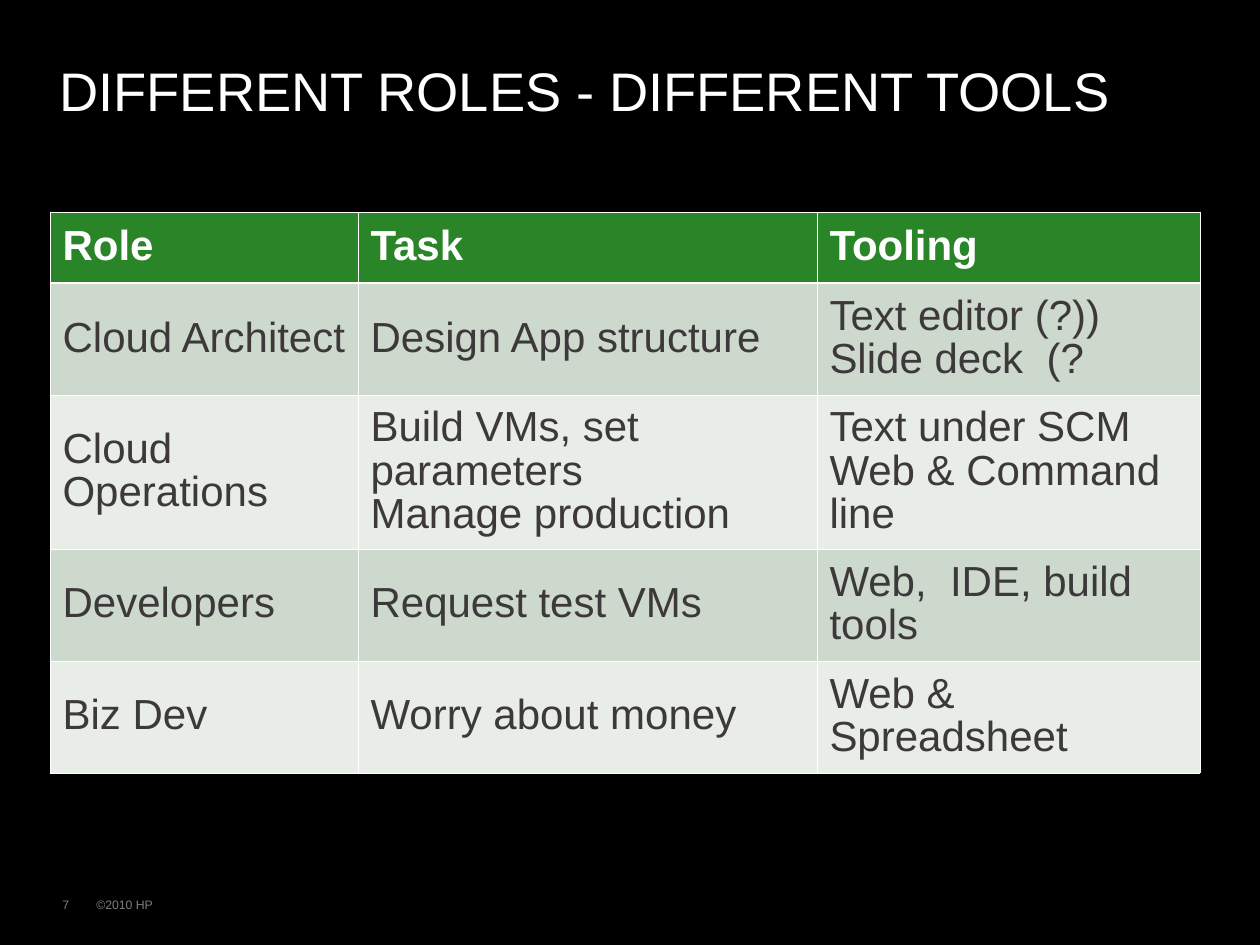
from dataclasses import dataclass

from lxml import etree
from pptx import Presentation
from pptx import util as u
from pptx.dml.color import RGBColor
from pptx.enum import text
from pptx.oxml import ns

PX_PER_INCH = 126
FONT = "Arial"
COLOURS = {
    "background": "000000",
    "title": "FFFFFF",
    "footer": "7F7F7F",
    "header": "298527",
    "header_text": "FFFFFF",
    "band_dark": "CDD9CD",
    "band_light": "E8EDE8",
    "body_text": "3D393B",
    "border": "FFFFFF",
}
THIN, THICK = 0.45, 1.47  # border widths in points


@dataclass
class Row:
    height: int
    cells: tuple[str, str, str]


@dataclass
class Footer:
    left: int
    width: int
    words: str


COLUMN_WIDTHS = (308, 459, 383)
ROWS = (
    Row(71, ("Role", "Task", "Tooling")),
    Row(112, ("Cloud Architect", "Design App structure",
              "Text editor (?))\nSlide deck  (?")),
    Row(154, ("Cloud Operations", "Build VMs, set parameters\nManage production",
              "Text under SCM\nWeb & Command line")),
    Row(112, ("Developers", "Request test VMs", "Web,  IDE, build tools")),
    Row(112, ("Biz Dev", "Worry about money", "Web & Spreadsheet")),
)
FOOTERS = (Footer(84, 543, "©2010 HP"), Footer(50, 53, "7"))


def px(length: int) -> int:
    return u.Inches(length / PX_PER_INCH)


def colour(name: str) -> RGBColor:
    return RGBColor.from_string(COLOURS[name])


def write(paragraph, words: str, size: int, colour_name: str, bold: bool = False) -> None:
    paragraph.alignment = text.PP_ALIGN.LEFT
    for index, line in enumerate(words.split("\n")):
        if index:
            paragraph.add_line_break()
        run = paragraph.add_run()
        run.text = line
        run.font.name = FONT
        run.font.size = u.Pt(size)
        run.font.bold = bold
        run.font.color.rgb = colour(colour_name)


def add_border(cell, side: str, width: float) -> None:
    properties = cell._tc.get_or_add_tcPr()
    line = etree.SubElement(properties, ns.qn(f"a:ln{side}"), w=str(int(u.Pt(width))))
    fill = etree.SubElement(line, ns.qn("a:solidFill"))
    etree.SubElement(fill, ns.qn("a:srgbClr"), val=COLOURS["border"])


def add_title(slide, words: str) -> None:
    title = slide.shapes.title
    title.left, title.top, title.width, title.height = map(px, (47, 58, 1154, 121))
    frame = title.text_frame
    frame.word_wrap = True
    frame.auto_size = text.MSO_AUTO_SIZE.NONE
    frame.vertical_anchor = text.MSO_ANCHOR.TOP
    paragraph = frame.paragraphs[0]
    paragraph.line_spacing = u.Pt(32.9)
    write(paragraph, words, 31, "title")


def add_roles_table(slide) -> None:
    table = slide.shapes.add_table(
        len(ROWS), len(COLUMN_WIDTHS), px(50), px(212),
        px(sum(COLUMN_WIDTHS)), px(sum(row.height for row in ROWS))).table
    for column, width in zip(table.columns, COLUMN_WIDTHS):
        column.width = px(width)
    for r, row in enumerate(ROWS):
        table.rows[r].height = px(row.height)
        is_header = r == 0
        band = "header" if is_header else "band_dark" if r % 2 else "band_light"
        ink = "header_text" if is_header else "body_text"
        borders = {"L": THIN, "R": THIN,
                   "T": THICK if r == 1 else THIN,
                   "B": THICK if is_header else THIN}
        for c, words in enumerate(row.cells):
            cell = table.cell(r, c)
            for side, width in borders.items():
                add_border(cell, side, width)
            cell.fill.solid()
            cell.fill.fore_color.rgb = colour(band)
            cell.vertical_anchor = text.MSO_ANCHOR.MIDDLE
            paragraph = cell.text_frame.paragraphs[0]
            paragraph.line_spacing = 0.93
            write(paragraph, words, 24, ink, is_header)


def add_footer(slide, footer: Footer) -> None:
    box = slide.shapes.add_textbox(px(footer.left), px(891), px(footer.width), px(30))
    frame = box.text_frame
    frame.word_wrap = True
    frame.margin_top = px(8)
    frame.margin_bottom = px(6)
    paragraph = frame.paragraphs[0]
    paragraph.line_spacing = 0.93
    write(paragraph, footer.words, 7, "footer")


def main() -> None:
    deck = Presentation()
    deck.slide_width, deck.slide_height = px(1260), px(945)
    slide = deck.slides.add_slide(deck.slide_layouts[5])
    slide.background.fill.solid()
    slide.background.fill.fore_color.rgb = colour("background")

    # Footer line
    for footer in FOOTERS:
        add_footer(slide, footer)

    # Heading and table of roles
    add_title(slide, "DIFFERENT ROLES - DIFFERENT TOOLS")
    add_roles_table(slide)

    deck.save("out.pptx")


if __name__ == "__main__":
    main()
